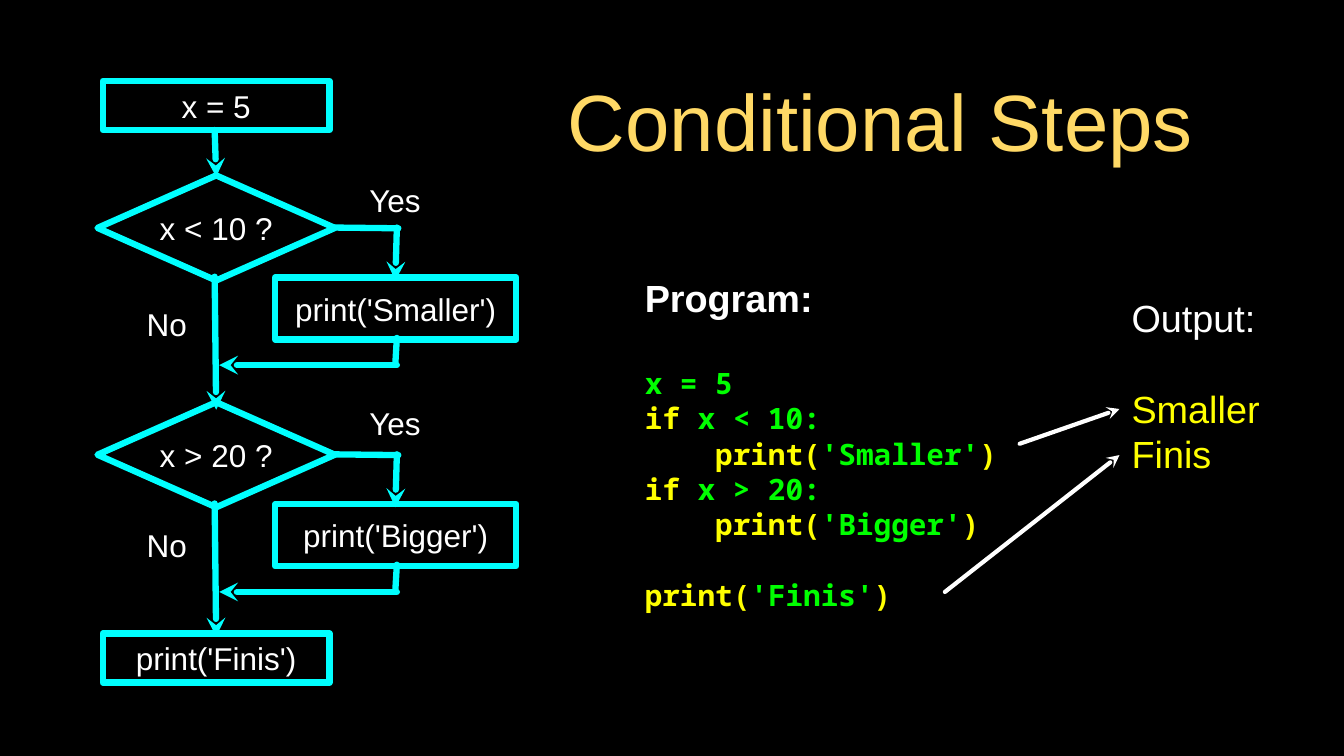
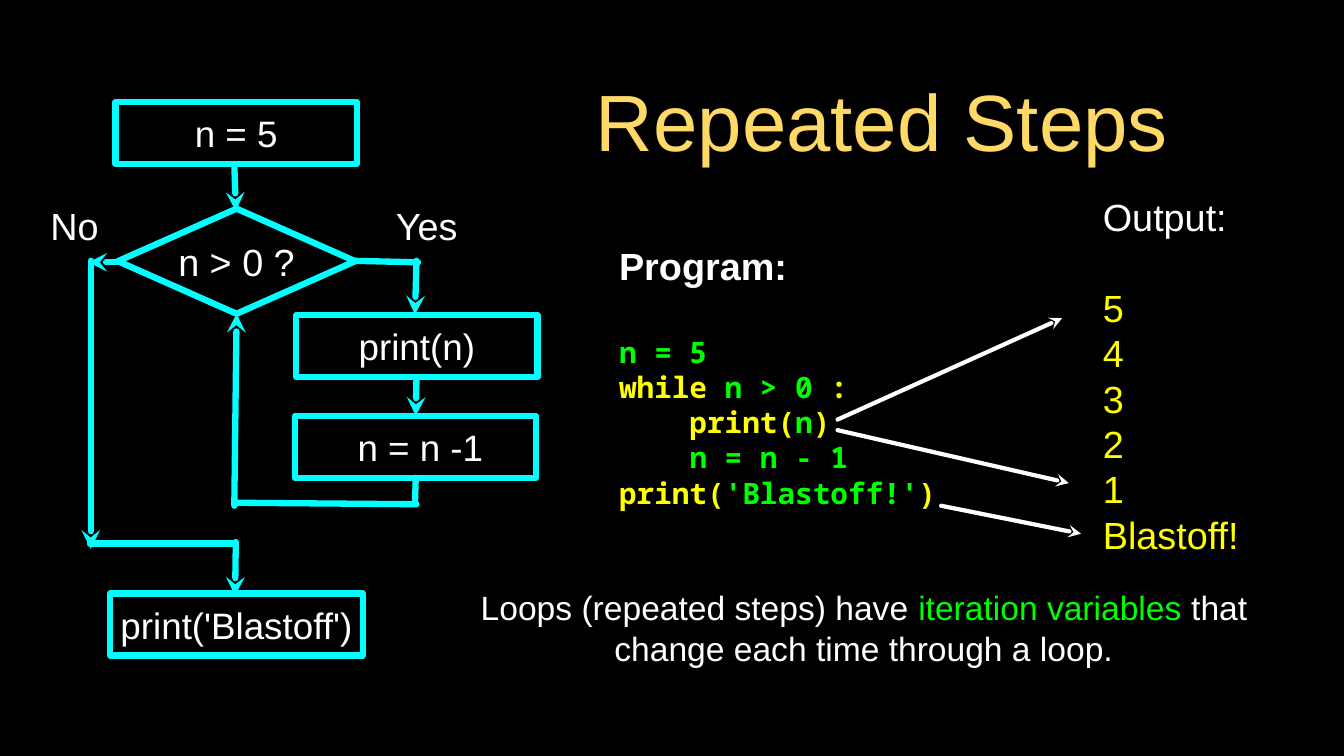
from itertools import cycle

from pptx import Presentation
from pptx.dml.color import RGBColor
from pptx.enum.shapes import MSO_CONNECTOR, MSO_SHAPE
from pptx.enum.text import MSO_ANCHOR, PP_ALIGN
from pptx.oxml.ns import qn
from pptx.util import Inches, Pt
from lxml.etree import SubElement

BLACK, WHITE, GOLD = "000000", "FFFFFF", "FFD966"
CYAN, YELLOW, GREEN = "00FFFF", "FFFF00", "00FF00"
SANS, MONO = "Arial", "Noto Sans Mono"
LEAD = 1.2  # line pitch as a multiple of the text size


def rgb(code):
    return RGBColor.from_string(code)


# Text helpers

def style(para, marked, size, colors=(WHITE,), font=SANS, bold=False,
          align=PP_ALIGN.LEFT):
    """Fill a paragraph; each "|" moves on to the next colour."""
    para.alignment = align
    para.line_spacing = Pt(size * LEAD)
    para.font.name, para.font.size, para.font.bold = font, Pt(size), bold
    parts = [(part, hue) for part, hue in zip(marked.split("|"), cycle(colors)) if part]
    if len(parts) == 1:
        para.font.color.rgb = rgb(parts[0][1])
    for part, hue in parts:
        run = para.add_run()
        run.text = part
        if len(parts) > 1:
            run.font.color.rgb = rgb(hue)


def frame(shape, inset=0, wrap=True):
    body = shape.text_frame
    body.word_wrap = wrap
    body.vertical_anchor = MSO_ANCHOR.MIDDLE
    body.margin_left = body.margin_right = Inches(inset)
    body.margin_top = body.margin_bottom = Inches(inset)
    return body


def text_box(slide, box, inset=0, wrap=True):
    shape = slide.shapes.add_textbox(*map(Inches, box))
    return frame(shape, inset, wrap)


def label(slide, box, words, size, colors=(WHITE,), inset=0, wrap=True):
    body = text_box(slide, box, inset, wrap)
    style(body.paragraphs[0], words, size, colors, align=PP_ALIGN.CENTER)


# Flowchart helpers

def node(slide, box, words, size, kind=MSO_SHAPE.RECTANGLE):
    shape = slide.shapes.add_shape(kind, *map(Inches, box))
    shape.shadow.inherit = False
    shape.fill.background()
    shape.line.color.rgb = rgb(CYAN)
    shape.line.width = Pt(6)
    body = frame(shape, wrap=False)
    style(body.paragraphs[0], words, size, align=PP_ALIGN.CENTER)


def link(slide, start, end, tip=True, color=CYAN, width=6):
    line = slide.shapes.add_connector(
        MSO_CONNECTOR.STRAIGHT, *map(Inches, (*start, *end)))
    line.line.color.rgb = rgb(color)
    line.line.width = Pt(width)
    edge = line.line._ln
    edge.set("cap", "rnd")
    SubElement(edge, qn("a:round"))
    if tip:
        SubElement(edge, qn("a:tailEnd"), type="stealth", w="med", len="med")
    SubElement(line._element.spPr, qn("a:effectLst"))


def links(slide, left, top, paths):
    """Draw (x1, y1, x2, y2, tip) lines relative to a corner."""
    for x1, y1, x2, y2, tip in paths:
        link(slide, (left + x1, top + y1), (left + x2, top + y2), tip)


def pointers(slide, paths):
    """Draw thin white arrows from the code to its output."""
    for x1, y1, x2, y2 in paths:
        link(slide, (x1, y1), (x2, y2), color=WHITE, width=4)


# Regions shared by both slides

def start(deck, title, box):
    slide = deck.slides.add_slide(deck.slide_layouts[6])
    slide.background.fill.solid()
    slide.background.fill.fore_color.rgb = rgb(BLACK)
    label(slide, box, title, 76, (GOLD,), inset=0.04)
    return slide


def listing(slide, box, head, rows, size, colors, font=SANS, bold=False):
    """A heading and rows; an empty row becomes space before the next."""
    body = text_box(slide, box, wrap=False)
    style(body.paragraphs[0], head, 36, bold=bold)
    gap = 36 * LEAD
    for row in rows:
        if not row:
            gap = size * LEAD
            continue
        para = body.add_paragraph()
        style(para, row, size, colors, font, bold)
        para.space_before = Pt(gap)
        gap = 0


def program(slide, box, rows):
    listing(slide, box, "Program:", rows, 28, (YELLOW, GREEN), MONO, True)


def output(slide, box, rows):
    listing(slide, box, "Output:", rows, 36, (YELLOW,))


# Flowcharts

def branch(slide, left, top, test, action, yes, no):
    """One if-step; yes and no are the heights of the two labels."""
    links(slide, left, top, [
        (1.55, 1.34, 1.57, 3.1, True),
        (3.13, 0.69, 3.98, 0.7, False),
        (3.96, 0.69, 3.94, 1.39, True),
        (3.96, 2.15, 3.94, 2.49, False),
        (3.96, 2.51, 1.61, 2.51, True),
    ])
    node(slide, (left, top, 3.14, 1.39), test, 30, MSO_SHAPE.DIAMOND)
    node(slide, (left + 2.35, top + 1.35, 3.19, 0.82), action, 30)
    label(slide, (left + 3.54, top + yes, 0.79, 0.68), "Yes", 30)
    label(slide, (left + 0.52, top + no, 0.79, 0.68), "No", 30)


def choices(slide, left, top):
    links(slide, left, top, [(1.55, 0.65, 1.57, 1.27, True)])
    node(slide, (left + 0.07, top, 3, 0.65), "x = 5", 30)
    branch(slide, left, top + 1.25, "x < 10 ?", "print('Smaller')", -0.01, 1.63)
    branch(slide, left, top + 4.25, "x > 20 ?", "print('Bigger')", -0.07, 1.55)
    node(slide, (left + 0.07, top + 7.31, 3, 0.65), "print('Finis')", 30)


def loop(slide, left, top):
    links(slide, left, top, [
        (2.51, 0.82, 2.53, 1.44, True),    # into the test
        (4.09, 2.1, 4.94, 2.12, False),    # yes branch
        (4.92, 2.1, 4.9, 2.81, True),
        (4.92, 3.64, 4.91, 4.15, True),
        (4.91, 4.97, 4.9, 5.3, False),     # back to the test
        (4.92, 5.32, 2.53, 5.3, False),
        (2.51, 5.34, 2.54, 2.8, True),
        (1.01, 2.12, 0.58, 2.12, True),    # no branch
        (0.61, 2.1, 0.61, 5.91, True),
        (0.6, 5.84, 2.51, 5.84, False),
        (2.53, 5.82, 2.52, 6.53, True),
    ])
    node(slide, (left + 0.97, top + 1.41, 3.14, 1.39), "n > 0 ?", 36,
         MSO_SHAPE.DIAMOND)
    for x, y, width, words in [
        (0.94, 0, 3.19, "n = 5"),
        (3.33, 2.82, 3.19, "print(n)"),
        (3.31, 4.15, 3.19, " n = n -1"),
        (0.87, 6.5, 3.34, "print('Blastoff')"),
    ]:
        node(slide, (left + x, top + y, width, 0.82), words, 35)
    label(slide, (left, top + 1.29, 0.79, 0.68), "No", 36, wrap=False)
    label(slide, (left + 4.51, top + 1.29, 1.09, 0.68), "Yes", 36, wrap=False)


# Slides

def steps(deck):
    slide = start(deck, "Conditional Steps", (6.4, 0.84, 10.49, 1.49))
    choices(slide, 1.29, 1.07)
    program(slide, (8.53, 3.14, 4.96, 5.45), [
        "|x = 5",
        "if |x < 10:",
        "    print(|'Smaller'|)",
        "if |x > 20:",
        "    print(|'Bigger'|)",
        "",
        "print(|'Finis'|)",
    ])
    output(slide, (14.97, 3.9, 1.73, 2.39), ["Smaller", "Finis"])
    pointers(slide, [(13.49, 5.87, 14.81, 5.41), (12.5, 7.83, 14.81, 6.02)])


def repeats(deck):
    slide = start(deck, "Repeated Steps", (6.44, 0.84, 10.45, 1.49))
    loop(slide, 0.59, 1.35)
    program(slide, (8.19, 2.86, 4.26, 4.24), [
        "|n = 5",
        "while| n > 0| :",
        "    print(|n|)",
        "    |n = n - 1",
        "print(|'Blastoff!'|)",
    ])
    output(slide, (14.59, 2.63, 2.18, 4.67), [*"54321", "Blastoff!"])
    pointers(slide, [(11.08, 5.55, 14.05, 4.21), (11.08, 5.69, 14.14, 6.39),
                     (12.45, 6.69, 14.3, 7.06)])
    label(slide, (5.64, 7.65, 11.58, 1.3),
          "Loops (repeated steps) have |iteration variables |"
          "that change each time through a loop.", 32, (WHITE, GREEN))


def main():
    deck = Presentation()
    deck.slide_width, deck.slide_height = Inches(17.78), Inches(10)
    steps(deck)
    repeats(deck)
    deck.save("out.pptx")


if __name__ == "__main__":
    main()
